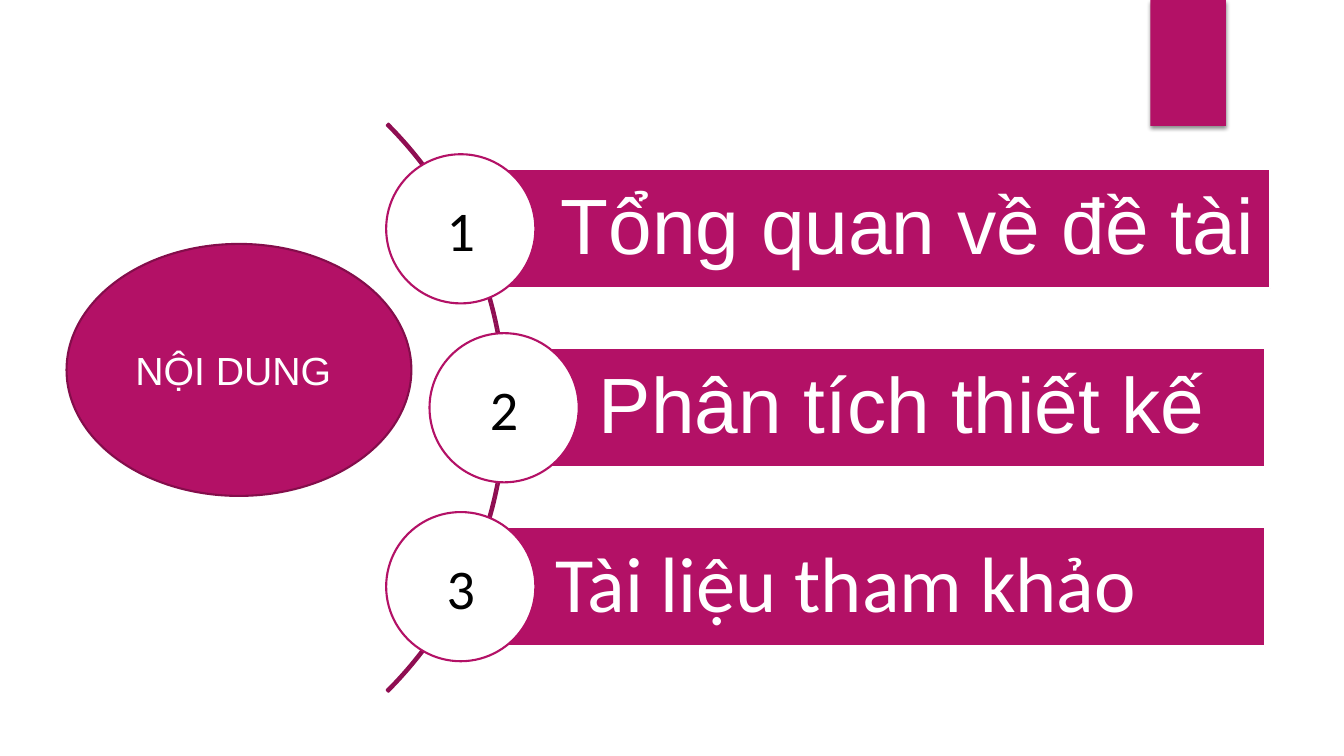
from lxml import etree
from pptx import Presentation
from pptx.dml.color import RGBColor
from pptx.enum import shapes, text
from pptx.oxml import ns
from pptx.util import Inches, Pt

MAGENTA, WHITE, BLACK = "B31166", "FFFFFF", "000000"


def color(value):
    """Turn a hex string into a colour."""
    return RGBColor.from_string(value)


def add_figure(slide, kind, box, fill=None, outline=None):
    """Add a flat shape in a box of inches."""
    figure = slide.shapes.add_shape(kind, *(Inches(side) for side in box))
    figure.shadow.inherit = False
    if fill:
        figure.fill.solid()
        figure.fill.fore_color.rgb = color(fill)
    else:
        figure.fill.background()
    if outline:
        figure.line.color.rgb = color(outline)
        figure.line.width = Pt(1.5)
    else:
        figure.line.fill.background()
    return figure


def write(figure, words, size, font, ink, align, insets):
    """Write one line in a shape, with left, top, right and bottom insets."""
    frame = figure.text_frame
    frame.word_wrap = True
    frame.vertical_anchor = text.MSO_ANCHOR.MIDDLE
    (frame.margin_left, frame.margin_top,
     frame.margin_right, frame.margin_bottom) = (Inches(inset) for inset in insets)
    paragraph = frame.paragraphs[0]
    paragraph.alignment = align
    run = paragraph.add_run()
    run.text = words
    run.font.size = Pt(size)
    run.font.name = font
    run.font.color.rgb = color(ink)
    return paragraph


def add_corner_tab(slide, box):
    """Add the tab at the top edge with its soft shadow."""
    tab = add_figure(slide, shapes.MSO_SHAPE.RECTANGLE, box, MAGENTA)
    effects = tab._element.spPr.find(ns.qn("a:effectLst"))
    shadow = etree.SubElement(effects, ns.qn("a:outerShdw"), blurRad=str(Pt(3)),
                              dist=str(Pt(2)), dir="5400000", rotWithShape="0")
    ink = etree.SubElement(shadow, ns.qn("a:srgbClr"), val=BLACK)
    etree.SubElement(ink, ns.qn("a:alpha"), val="45000")


def add_topic(slide, box):
    """Add the oval that names the agenda."""
    topic = add_figure(slide, shapes.MSO_SHAPE.OVAL, box, MAGENTA, "840D4B")
    write(topic, "NỘI DUNG", 28, "Arial", WHITE, text.PP_ALIGN.CENTER, (0.1, 0.05, 0.21, 0.05))


def add_arc(slide, box):
    """Add the thin arc that joins the chapters."""
    arc = add_figure(slide, shapes.MSO_SHAPE.BLOCK_ARC, box, outline="8F0E52")
    for index, value in enumerate((189, 27, 0.003)):
        arc.adjustments[index] = value


def add_chapter(slide, box, number, title, font, indent):
    """Add a chapter bar and its numbered circle at the left of the box."""
    left, top, width, diameter = box
    bar_left = left + diameter / 2 + indent
    bar_height = 1.18
    bar = add_figure(slide, shapes.MSO_SHAPE.RECTANGLE,
                     (bar_left, top + (diameter - bar_height) / 2,
                      left + width - bar_left, bar_height), MAGENTA, WHITE)
    paragraph = write(bar, title, 56, font, WHITE, text.PP_ALIGN.LEFT, (0.94, 0.16, 0.1, 0.16))
    paragraph.line_spacing = 0.9
    circle = add_figure(slide, shapes.MSO_SHAPE.OVAL,
                        (left, top, diameter, diameter), WHITE, MAGENTA)
    write(circle, str(number), 40, "Calibri", BLACK, text.PP_ALIGN.CENTER, (0, 0, 0, 0))


def add_chapters(slide, box):
    """Stack the chapters at equal steps along the arc."""
    left, top, width, height = box
    chapters = (
        ("Tổng quan về đề tài", "Arial", 0, 0.05),
        ("Phân tích thiết kế", "Arial", 0.43, 0),
        ("Tài liệu tham khảo", "Calibri", 0, 0),
    )
    diameter = 1.48
    step = (height - diameter) / (len(chapters) - 1)
    for index, (title, font, bulge, indent) in enumerate(chapters):
        place = (left + bulge, top + index * step, width - bulge + indent, diameter)
        add_chapter(slide, place, index + 1, title, font, indent)


def main():
    """Build the agenda slide and save it."""
    deck = Presentation()
    deck.slide_width, deck.slide_height = Inches(13.33), Inches(7.5)
    slide = deck.slides.add_slide(deck.slide_layouts[6])
    add_corner_tab(slide, (11.41, 0, 0.75, 1.25))
    add_arc(slide, (-2.95, 0.06, 7.97, 7.97))
    add_chapters(slide, (3.83, 1.53, 8.72, 5.03))
    add_topic(slide, (0.66, 2.42, 3.42, 2.5))
    deck.save("out.pptx")


if __name__ == "__main__":
    main()
